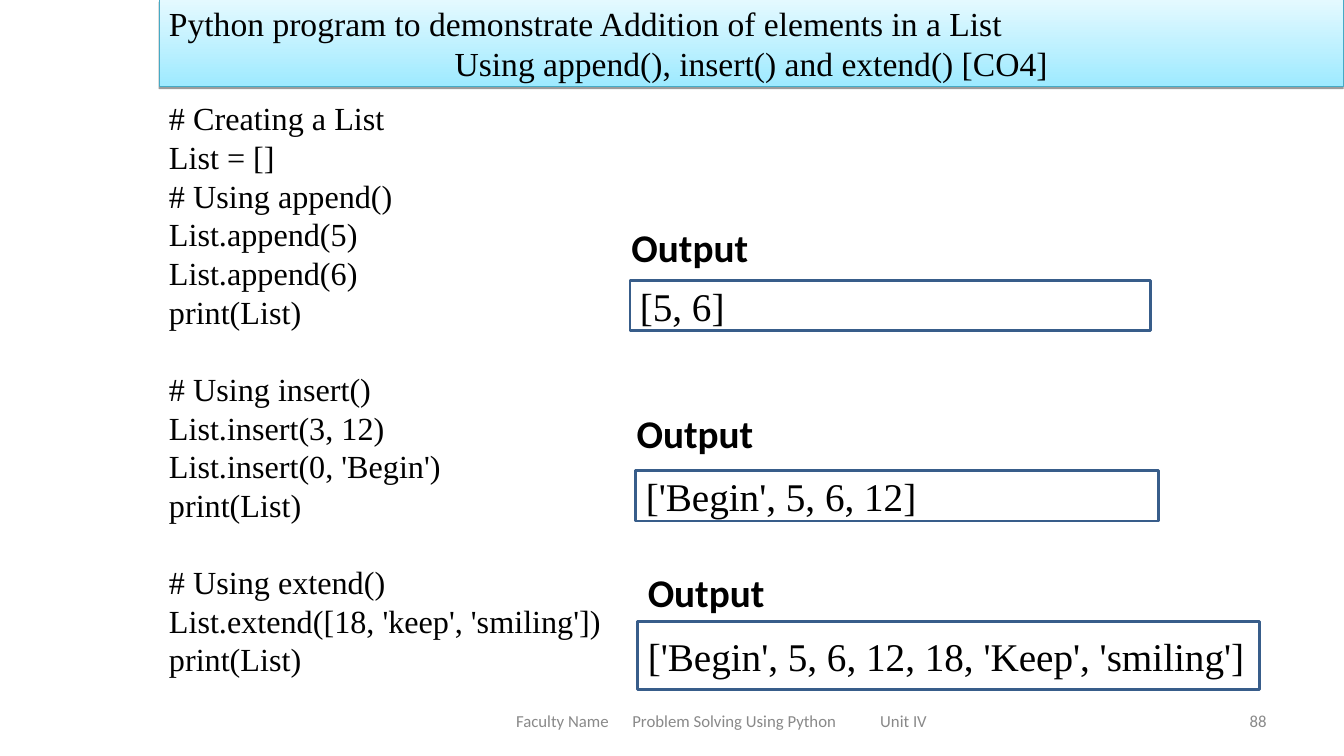
from dataclasses import dataclass

from lxml import etree
from pptx import Presentation
from pptx.dml.color import RGBColor
from pptx.enum.shapes import MSO_SHAPE
from pptx.enum.text import MSO_ANCHOR, PP_ALIGN
from pptx.oxml.ns import qn
from pptx.shapes.autoshape import Shape
from pptx.slide import Slide
from pptx.util import Cm, Pt

RECTANGLE = MSO_SHAPE.RECTANGLE
TOP, MIDDLE = MSO_ANCHOR.TOP, MSO_ANCHOR.MIDDLE
LEFT, CENTER, RIGHT = PP_ALIGN.LEFT, PP_ALIGN.CENTER, PP_ALIGN.RIGHT

BLACK = RGBColor(0x00, 0x00, 0x00)
WHITE = RGBColor(0xFF, 0xFF, 0xFF)
GREY = RGBColor(0x89, 0x89, 0x89)
OUTPUT_BORDER = RGBColor(0x38, 0x5D, 0x8A)
TITLE_BORDER = RGBColor(0x46, 0xAA, 0xC5)
TITLE_BOTTOM = RGBColor(0x9E, 0xEA, 0xFF)
TITLE_TOP = RGBColor(0xE4, 0xF9, 0xFF)


@dataclass(frozen=True)
class Box:
    """Position and size in centimetres."""
    left: float
    top: float
    width: float
    height: float

    def lengths(self) -> tuple[Cm, Cm, Cm, Cm]:
        return Cm(self.left), Cm(self.top), Cm(self.width), Cm(self.height)


@dataclass(frozen=True)
class TextStyle:
    size: float
    font: str = "Times New Roman"
    color: RGBColor = BLACK
    bold: bool = False
    alignment: PP_ALIGN = LEFT
    anchor: MSO_ANCHOR = MIDDLE
    line_height: float | None = None


@dataclass(frozen=True)
class Output:
    label: Box
    frame: Box
    text: str


CODE_LINE = 27.6
TITLE_STYLE = TextStyle(24, line_height=28.6)
CODE_STYLE = TextStyle(23, anchor=TOP, line_height=CODE_LINE)
LABEL_STYLE = TextStyle(28, "Calibri", bold=True, anchor=TOP)
OUTPUT_STYLE = TextStyle(28)
FOOTER_STYLE = TextStyle(12, "Calibri", GREY)
NUMBER_STYLE = TextStyle(12, "Calibri", GREY, alignment=RIGHT)

TITLE = """Python program to demonstrate Addition of elements in a List
Using append(), insert() and extend() [CO4]"""
CODE_BLOCKS = [
    """# Creating a List
List = []
# Using append()
List.append(5)
List.append(6)
print(List)""",
    """# Using insert()
List.insert(3, 12)
List.insert(0, 'Begin')
print(List)""",
    """# Using extend()
List.extend([18, 'keep', 'smiling'])
print(List)""",
]
OUTPUTS = [
    Output(Box(15.67, 5.51, 4.11, 1.45), Box(15.88, 7.06, 13.13, 1.27), "[5, 6]"),
    Output(Box(15.8, 10.19, 4.11, 1.45), Box(16.03, 11.86, 13.18, 1.27),
           "['Begin', 5, 6, 12]"),
    Output(Box(16.08, 14.2, 4.11, 1.45), Box(16.08, 15.67, 15.67, 1.7),
           "['Begin', 5, 6, 12, 18, 'Keep', 'smiling']"),
]
FOOTER_TABS = (2.93, 9.18)


def write(shape: Shape, text: str, style: TextStyle) -> None:
    frame = shape.text_frame
    frame.word_wrap = True
    frame.vertical_anchor = style.anchor
    frame.text = text
    for paragraph in frame.paragraphs:
        paragraph.alignment = style.alignment
        if style.line_height:
            paragraph.line_spacing = Pt(style.line_height)
        for run in paragraph.runs:
            run.font.name = style.font
            run.font.size = Pt(style.size)
            run.font.bold = style.bold
            run.font.color.rgb = style.color


def add_text(slide: Slide, box: Box, text: str, style: TextStyle) -> Shape:
    shape = slide.shapes.add_textbox(*box.lengths())
    write(shape, text, style)
    return shape


def add_frame(slide: Slide, box: Box, border: RGBColor, width: float) -> Shape:
    """Add a white rectangle with a border."""
    shape = slide.shapes.add_shape(RECTANGLE, *box.lengths())
    shape.shadow.inherit = False
    shape.fill.solid()
    shape.fill.fore_color.rgb = WHITE
    shape.line.color.rgb = border
    shape.line.width = Pt(width)
    return shape


def add_drop_shadow(shape: Shape) -> None:
    effects = shape._element.spPr.find(qn("a:effectLst"))
    shadow = etree.SubElement(effects, qn("a:outerShdw"), blurRad="0",
                              dist=str(Pt(1.6)), dir="5400000", rotWithShape="0")
    color = etree.SubElement(shadow, qn("a:srgbClr"), val=str(BLACK))
    etree.SubElement(color, qn("a:alpha"), val="38000")


def add_title(slide: Slide) -> None:
    banner = add_frame(slide, Box(4.01, 0, 29.85, 2.18), TITLE_BORDER, 0.75)
    banner.fill.gradient()
    banner.fill.gradient_angle = 90
    for stop, color in zip(banner.fill.gradient_stops, (TITLE_BOTTOM, TITLE_TOP)):
        stop.color.rgb = color
    add_drop_shadow(banner)
    write(banner, TITLE, TITLE_STYLE)
    banner.text_frame.paragraphs[1].alignment = CENTER


def add_code(slide: Slide) -> None:
    code = add_text(slide, Box(4.01, 2.36, 24.26, 14.94),
                    "\n".join(CODE_BLOCKS), CODE_STYLE)
    first_line = 0
    for block in CODE_BLOCKS[:-1]:
        first_line += len(block.splitlines())
        code.text_frame.paragraphs[first_line].space_before = Pt(CODE_LINE)


def add_footer(slide: Slide) -> None:
    footer = add_text(slide, Box(11.23, 17.65, 13.97, 1.02),
                      "Faculty Name\tProblem Solving Using Python\tUnit IV", FOOTER_STYLE)
    footer.text_frame.margin_left = Cm(1.78)
    properties = footer.text_frame.paragraphs[0]._p.get_or_add_pPr()
    tabs = etree.SubElement(properties, qn("a:tabLst"))
    for position in FOOTER_TABS:
        etree.SubElement(tabs, qn("a:tab"), pos=str(Cm(position)), algn="l")
    add_text(slide, Box(24.28, 17.65, 7.9, 1.02), "88", NUMBER_STYLE)


def main() -> None:
    presentation = Presentation()
    presentation.slide_width = Cm(33.88)
    presentation.slide_height = Cm(19.05)
    slide = presentation.slides.add_slide(presentation.slide_layouts[6])
    add_code(slide)
    add_title(slide)
    add_footer(slide)
    for output in OUTPUTS:
        frame = add_frame(slide, output.frame, OUTPUT_BORDER, 2)
        write(frame, output.text, OUTPUT_STYLE)
        add_text(slide, output.label, "Output", LABEL_STYLE)
    presentation.save("out.pptx")


if __name__ == "__main__":
    main()
